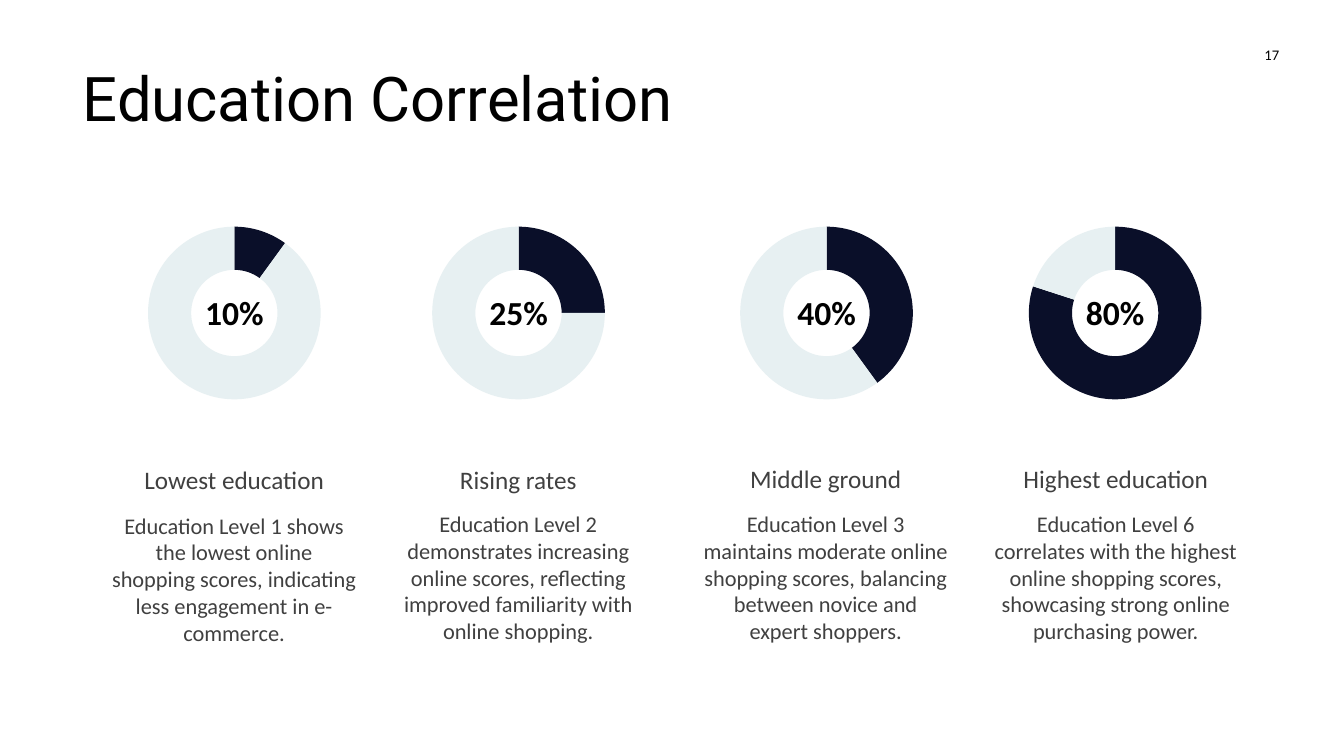
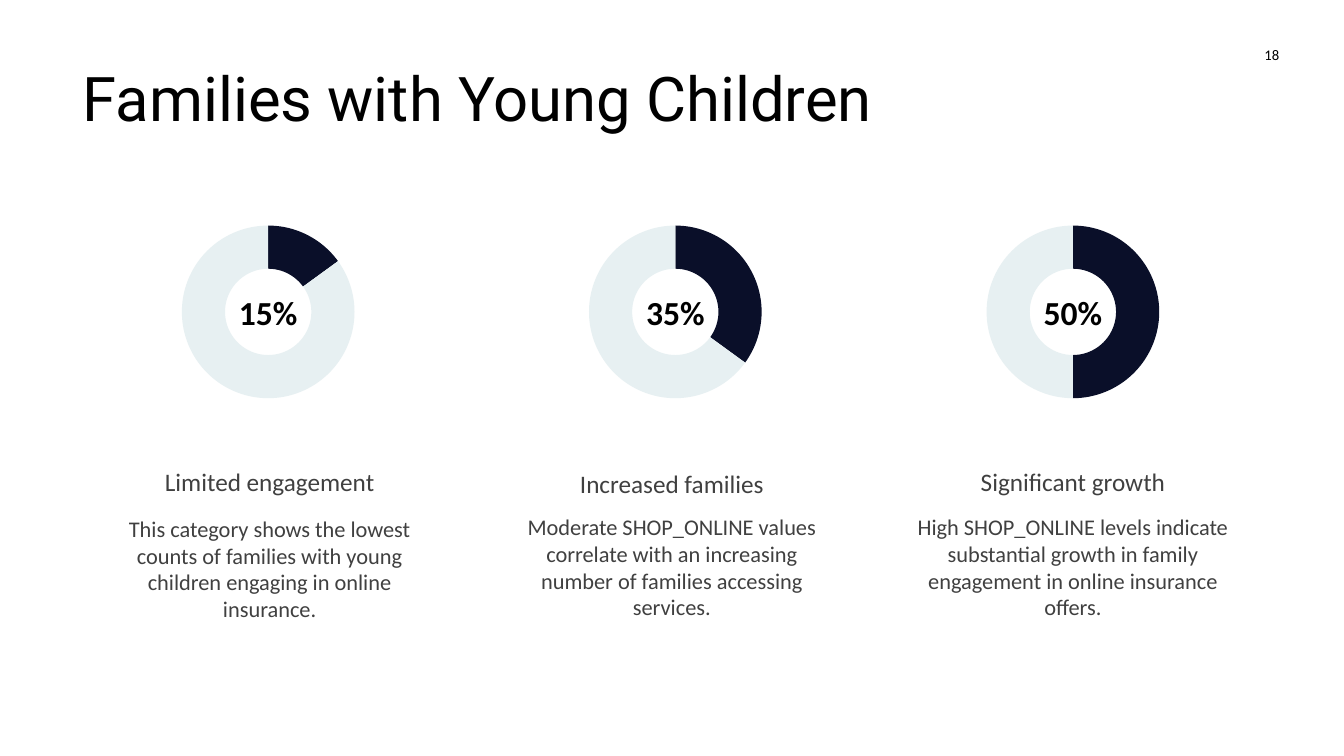
import pptx
import pptx.util
import pptx.chart.data
import pptx.dml.color
import pptx.enum.chart
import pptx.enum.text

Pt = pptx.util.Pt
ALIGN = pptx.enum.text.PP_ALIGN
ANCHOR = pptx.enum.text.MSO_ANCHOR

COLORS = {
    "paper": "FFFFFF",
    "ink": "000000",
    "copy": "404040",
    "share": "0A0F29",
    "rest": "E7F0F2",
    "ring_edge": "F9F9F9",
}

STYLES = {
    "title": {"font": {"name": "Roboto", "size": Pt(44)}, "color": "ink",
              "align": ALIGN.LEFT, "anchor": ANCHOR.TOP},
    "number": {"font": {"name": "Calibri", "size": Pt(10.5)}, "color": "ink",
               "align": ALIGN.CENTER, "anchor": ANCHOR.MIDDLE},
    "percent": {"font": {"name": "Calibri", "size": Pt(24), "bold": True}, "color": "ink",
                "align": ALIGN.CENTER, "anchor": ANCHOR.MIDDLE},
    "heading": {"font": {"name": "Calibri", "size": Pt(18)}, "color": "copy",
                "align": ALIGN.CENTER, "anchor": ANCHOR.BOTTOM},
    "body": {"font": {"name": "Calibri", "size": Pt(16)}, "color": "copy",
             "align": ALIGN.CENTER, "anchor": ANCHOR.TOP},
}

SLIDES = [
    {
        "title": "Education Correlation",
        "number": 17,
        "ring_top": 152,
        "text_width": 188.6,
        "columns": [
            {"share": 10, "ring_x": 167.4, "text_x": 167.2, "heading_top": 298.8, "body_top": 362,
             "heading": "Lowest education",
             "body": "Education Level 1 shows the lowest online shopping scores, "
                     "indicating less engagement in e-commerce."},
            {"share": 25, "ring_x": 370.4, "text_x": 370.2, "heading_top": 298.8, "body_top": 360.7,
             "heading": "Rising rates",
             "body": "Education Level 2 demonstrates increasing online scores, "
                     "reflecting improved familiarity with online shopping."},
            {"share": 40, "ring_x": 590.4, "text_x": 589.8, "heading_top": 298, "body_top": 360.7,
             "heading": "Middle ground",
             "body": "Education Level 3 maintains moderate online shopping scores, "
                     "balancing between novice and expert shoppers."},
            {"share": 80, "ring_x": 796.6, "text_x": 797, "heading_top": 298, "body_top": 360.7,
             "heading": "Highest education",
             "body": "Education Level 6 correlates with the highest online shopping scores, "
                     "showcasing strong online purchasing power."},
        ],
    },
    {
        "title": "Families with Young Children",
        "number": 18,
        "ring_top": 151.2,
        "text_width": 241.2,
        "columns": [
            {"share": 15, "ring_x": 191.6, "text_x": 192.6, "heading_top": 300.2, "body_top": 364.2,
             "heading": "Limited engagement",
             "body": "This category shows the lowest counts of families with young children "
                     "engaging in online insurance."},
            {"share": 35, "ring_x": 482.4, "text_x": 479.9, "heading_top": 301, "body_top": 362.9,
             "heading": "Increased families",
             "body": "Moderate SHOP_ONLINE values correlate with an increasing number "
                     "of families accessing services."},
            {"share": 50, "ring_x": 766.4, "text_x": 766.4, "heading_top": 300.2, "body_top": 362.9,
             "heading": "Significant growth",
             "body": "High SHOP_ONLINE levels indicate substantial growth in family engagement "
                     "in online insurance offers."},
        ],
    },
]

RING = 143.2
PERCENT_TOP, PERCENT_WIDTH, PERCENT_HEIGHT = 205.2, 72, 36
HEADING_HEIGHT = 58.3
BODY_HEIGHT = 103.7


def rgb(key):
    return pptx.dml.color.RGBColor.from_string(COLORS[key])


def apply_font(font, values, color):
    for attribute, value in values.items():
        setattr(font, attribute, value)
    font.color.rgb = rgb(color)


def add_text(slide, role, text, left, top, width, height):
    style = STYLES[role]
    frame = slide.shapes.add_textbox(Pt(left), Pt(top), Pt(width), Pt(height)).text_frame
    for attribute, value in {"word_wrap": True, "vertical_anchor": style["anchor"]}.items():
        setattr(frame, attribute, value)
    paragraph = frame.paragraphs[0]
    paragraph.alignment = style["align"]
    run = paragraph.add_run()
    run.text = text
    apply_font(run.font, style["font"], style["color"])


def add_ring(slide, share, center, top):
    shares = pptx.chart.data.CategoryChartData(number_format="General")
    shares.categories = ["1", "2"]
    shares.add_series("Series 1", [share, 100 - share])
    chart = slide.shapes.add_chart(
        pptx.enum.chart.XL_CHART_TYPE.DOUGHNUT,
        Pt(center - RING / 2), Pt(top), Pt(RING), Pt(RING), shares).chart
    for attribute, value in {"has_legend": False, "has_title": False}.items():
        setattr(chart, attribute, value)
    apply_font(chart.font, {"name": "Calibri", "size": Pt(10)}, "ink")
    plot = chart.plots[0]
    plot.vary_by_categories = True
    for hole in plot._element.xpath("c:holeSize"):
        hole.set("val", "90")
    series = plot.series[0]
    series.format.line.color.rgb = rgb("ring_edge")
    series.format.line.width = Pt(0.75)
    for index, color in enumerate(["share", "rest"]):
        part = series.points[index].format
        part.fill.solid()
        part.fill.fore_color.rgb = rgb(color)
        part.line.fill.background()


def add_column(slide, column, ring_top, text_width):
    add_ring(slide, column["share"], column["ring_x"], ring_top)
    add_text(slide, "percent", f"{column['share']}%", column["ring_x"] - PERCENT_WIDTH / 2,
             PERCENT_TOP, PERCENT_WIDTH, PERCENT_HEIGHT)
    for role, height in {"heading": HEADING_HEIGHT, "body": BODY_HEIGHT}.items():
        add_text(slide, role, column[role], column["text_x"] - text_width / 2,
                 column[role + "_top"], text_width, height)


def main():
    deck = pptx.Presentation()
    deck.slide_width, deck.slide_height = Pt(960), Pt(540)
    for content in SLIDES:
        slide = deck.slides.add_slide(deck.slide_layouts[6])
        slide.background.fill.solid()
        slide.background.fill.fore_color.rgb = rgb("paper")
        add_text(slide, "title", content["title"], 52, 39, 822, 104)
        add_text(slide, "number", str(content["number"]), 894, 25, 29, 28)
        for column in content["columns"]:
            add_column(slide, column, content["ring_top"], content["text_width"])
    deck.save("out.pptx")


if __name__ == "__main__":
    main()
